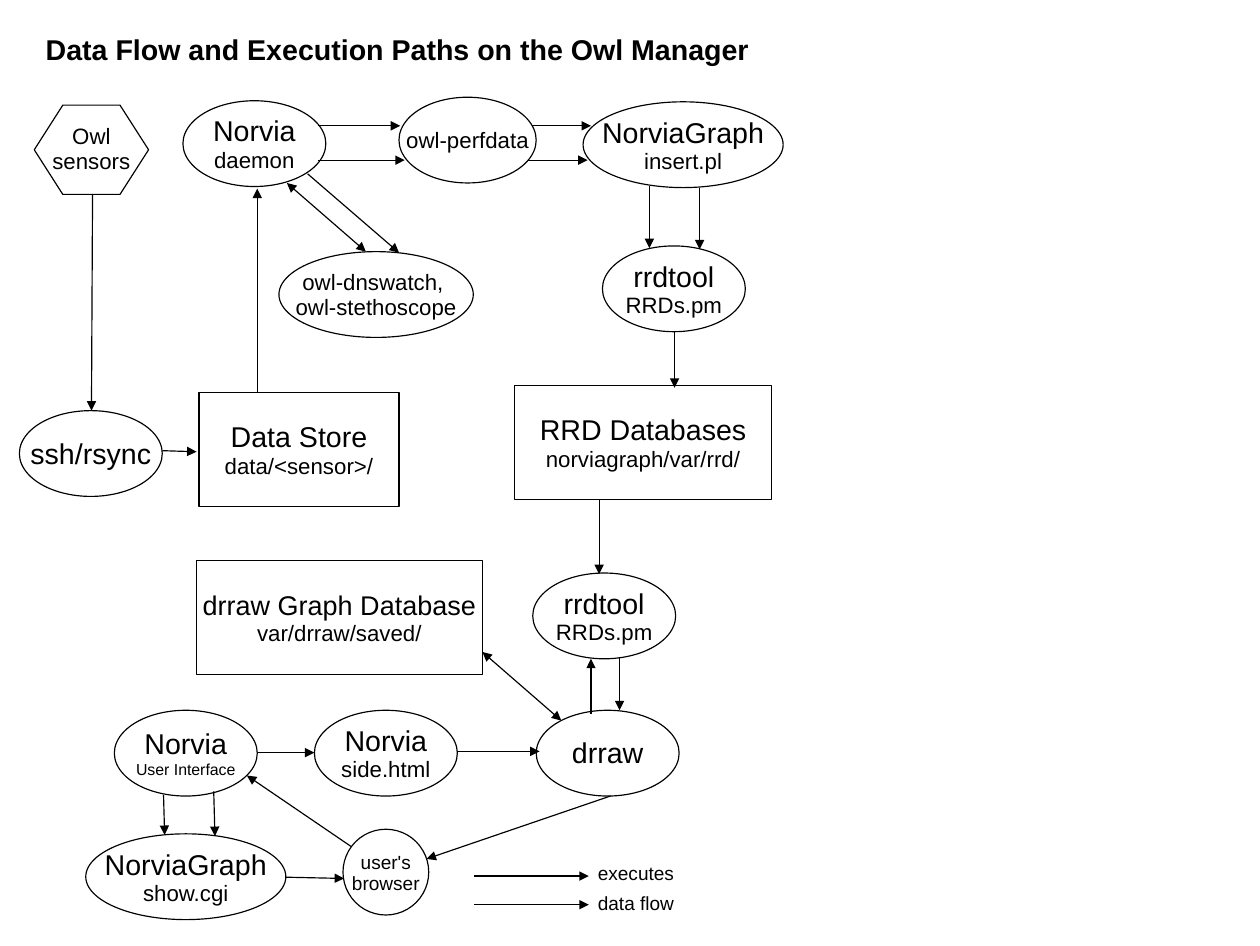
"""Builds a data flow diagram of the monitoring programs on the Owl manager."""
from lxml import etree
from pptx import Presentation
from pptx.dml.color import RGBColor
from pptx.enum.shapes import MSO_CONNECTOR, MSO_SHAPE
from pptx.enum.text import MSO_ANCHOR, MSO_AUTO_SIZE, PP_ALIGN
from pptx.oxml.ns import qn
from pptx.util import Pt

BLACK = RGBColor(0, 0, 0)
WHITE = RGBColor(255, 255, 255)
FONT = "Arial"
LINE_WIDTH = 0.75
LINE_SPACING = 0.93
ELLIPSE = MSO_SHAPE.OVAL
BOX = MSO_SHAPE.RECTANGLE
HEXAGON = MSO_SHAPE.HEXAGON
STRAIGHT = MSO_CONNECTOR.STRAIGHT
LEFT, CENTER = PP_ALIGN.LEFT, PP_ALIGN.CENTER
TOP, MIDDLE = MSO_ANCHOR.TOP, MSO_ANCHOR.MIDDLE
NO_AUTOFIT = MSO_AUTO_SIZE.NONE

NORMAL = (90, 54)
WIDE = (126, 54)
NAME_AND_DETAIL = (18, 14)

NODES = [
    (ELLIPSE, (115.2, 63.4), NORMAL, "Norvia\ndaemon", NAME_AND_DETAIL),
    (ELLIPSE, (251.3, 61.2), (86.4, 54), "owl-perfdata", (14,)),
    (ELLIPSE, (367.2, 64.1), WIDE, "NorviaGraph\ninsert.pl", NAME_AND_DETAIL),
    (ELLIPSE, (175.7, 158.4), (122.4, 54), "owl-dnswatch, \nowl-stethoscope", (14, 14)),
    (ELLIPSE, (379.4, 154.8), NORMAL, "rrdtool\nRRDs.pm", NAME_AND_DETAIL),
    (ELLIPSE, (12.2, 258.5), NORMAL, "ssh/rsync", (18,)),
    (BOX, (125.3, 247), (126, 72), "Data Store\ndata/<sensor>/", NAME_AND_DETAIL),
    (BOX, (324, 242.6), (162, 72), "RRD Databases\nnorviagraph/var/rrd/", NAME_AND_DETAIL),
    (BOX, (123.8, 352.8), (180, 72), "drraw Graph Database\nvar/drraw/saved/", (17, 14)),
    (ELLIPSE, (335.5, 360.7), NORMAL, "rrdtool\nRRDs.pm", NAME_AND_DETAIL),
    (ELLIPSE, (72, 447.1), NORMAL, "Norvia\nUser Interface", (18, 10)),
    (ELLIPSE, (198, 447.1), NORMAL, "Norvia\nside.html", NAME_AND_DETAIL),
    (ELLIPSE, (337.7, 447.1), NORMAL, "drraw", (18,)),
    (ELLIPSE, (54, 524.9), WIDE, "NorviaGraph\nshow.cgi", NAME_AND_DETAIL),
    (ELLIPSE, (216, 522), (54, 54), "user's\nbrowser", (12, 12)),
]

ARROWS = [
    (58.3, 122.4, 57.6, 258.5),
    (102.2, 283.7, 123.8, 284.4),
    (162, 247.7, 162, 118.8),
    (200.2, 79.2, 252, 79.2),
    (200.2, 100.8, 254.9, 100.8),
    (334.8, 79.2, 372.2, 79.2),
    (332.6, 100.8, 370.1, 100.8),
    (193.7, 109.4, 251.3, 159.1),
    (409, 117.4, 409, 156.2),
    (440.6, 118.1, 440.6, 157),
    (424.8, 208.8, 424.8, 244.1),
    (377.3, 314.6, 377.3, 361.4),
    (372.2, 449.3, 372.2, 414.7),
    (390.2, 414, 390.2, 447.1),
    (162, 473.8, 198, 473.8),
    (288, 473, 339.8, 473),
    (384.5, 501.1, 268.6, 540.7),
    (221, 532.8, 155.5, 488.2),
    (103, 500.4, 103.7, 525.6),
    (134.6, 498.2, 135.4, 526.3),
    (180, 552.2, 216.7, 553),
]

TWO_WAY_ARROWS = [
    (180.7, 115.2, 230.4, 158.4),
    (303.8, 410.4, 353.5, 453.6),
]

LEGEND = [("executes", 551.5, 540), ("data flow", 569.5, 558.7)]


def write_text(shape, text, sizes, alignment, anchor, top_inset=3.6, bold=False):
    """Fill a shape with unwrapped lines of text, one size per line."""
    frame = shape.text_frame
    frame.text = text
    frame.auto_size = NO_AUTOFIT
    frame.word_wrap = False
    frame.vertical_anchor = anchor
    frame.margin_left = frame.margin_right = Pt(7.2)
    frame.margin_top, frame.margin_bottom = Pt(top_inset), Pt(3.6)
    for paragraph, size in zip(frame.paragraphs, sizes):
        paragraph.alignment = alignment
        paragraph.line_spacing = LINE_SPACING
        paragraph.space_before = Pt(0)
        for run in paragraph.runs:
            run.font.name = FONT
            run.font.size = Pt(size)
            run.font.bold = bold
            run.font.color.rgb = BLACK


def add_title(slide, text):
    """Move the title placeholder to the top left and write the title."""
    title = slide.shapes.title
    title.left, title.top = Pt(21.6), Pt(18.7)
    title.width, title.height = Pt(477.4), Pt(27.4)
    write_text(title, text, (18,), LEFT, TOP, bold=True)


def add_node(slide, kind, position, size, text, text_sizes, top_inset=5):
    """Add an outlined shape with centred text."""
    shape = slide.shapes.add_shape(kind, *map(Pt, position + size))
    shape.shadow.inherit = False
    shape.fill.background()
    shape.line.color.rgb = BLACK
    shape.line.width = Pt(LINE_WIDTH)
    write_text(shape, text, text_sizes, CENTER, MIDDLE, top_inset)
    return shape


def add_arrow(slide, points, two_way=False):
    """Add a straight arrow with a head at its end, or at both ends."""
    connector = slide.shapes.add_connector(STRAIGHT, *map(Pt, points))
    connector.line.color.rgb = BLACK
    connector.line.width = Pt(LINE_WIDTH)
    properties = connector.element.spPr
    outline = properties.find(qn("a:ln"))
    for end in ("a:headEnd", "a:tailEnd") if two_way else ("a:tailEnd",):
        etree.SubElement(outline, qn(end), type="triangle")
    etree.SubElement(properties, qn("a:effectLst"))


def add_legend_entry(slide, label, arrow_y, label_top):
    """Add a sample arrow with its label to the right."""
    add_arrow(slide, (298.8, arrow_y, 370.8, arrow_y))
    box = slide.shapes.add_textbox(Pt(369.4), Pt(label_top), Pt(62), Pt(20.2))
    write_text(box, label, (12,), LEFT, TOP)


def main():
    """Build and save the slide."""
    presentation = Presentation()
    presentation.slide_width, presentation.slide_height = Pt(793.5), Pt(595.5)
    slide = presentation.slides.add_slide(presentation.slide_layouts[5])
    slide.background.fill.solid()
    slide.background.fill.fore_color.rgb = WHITE

    add_title(slide, "Data Flow and Execution Paths on the Owl Manager")
    sensors = add_node(slide, HEXAGON, (21.6, 66.2), (72, 56.2),
                       "Owl\nsensors", (14, 14), top_inset=3.6)
    sensors.adjustments[0] = 0.32
    for node in NODES:
        add_node(slide, *node)
    for points in ARROWS:
        add_arrow(slide, points)
    for points in TWO_WAY_ARROWS:
        add_arrow(slide, points, two_way=True)
    for entry in LEGEND:
        add_legend_entry(slide, *entry)

    presentation.save("out.pptx")


if __name__ == "__main__":
    main()
